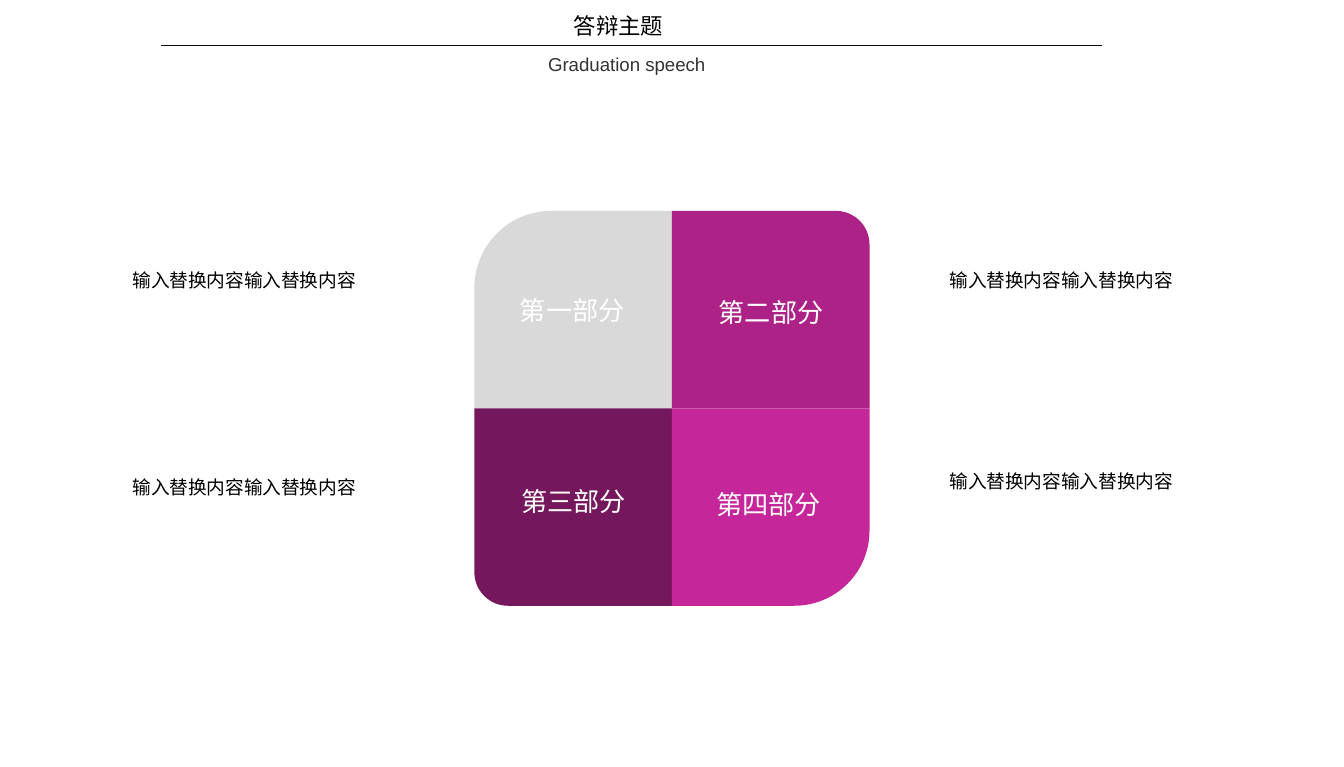
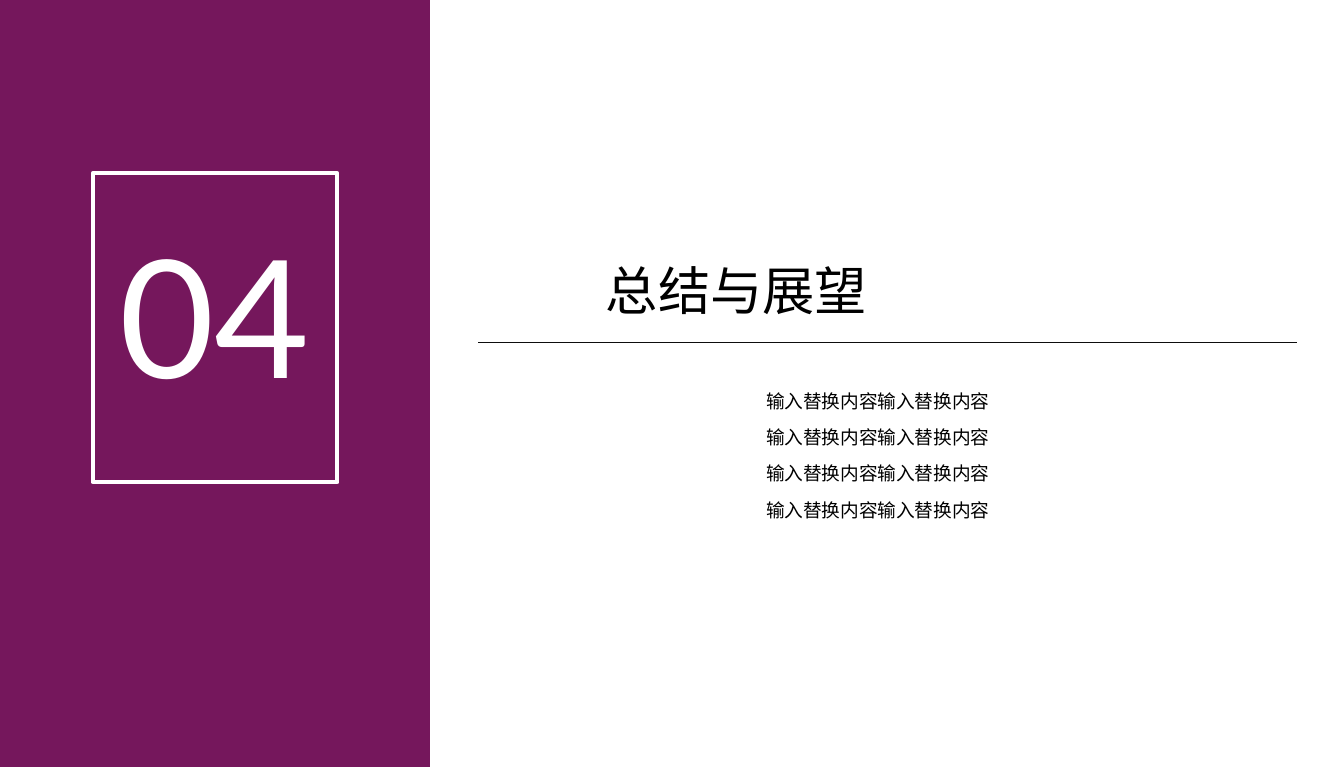
from dataclasses import dataclass

from lxml.etree import SubElement
from pptx import Presentation
from pptx.dml.color import RGBColor
from pptx.enum.shapes import MSO_CONNECTOR as Connector, MSO_SHAPE as Preset
from pptx.enum.text import MSO_ANCHOR as Anchor, PP_ALIGN as Align
from pptx.oxml.ns import qn
from pptx.slide import Slide
from pptx.util import Inches, Pt

WIDTH, HEIGHT = 10, 5.71
PLUM, WHITE, BLACK, RULE = "75175C", "FFFFFF", "000000", "0D0D0D"
CJK = "Noto Sans CJK SC"
FILLER = "输入替换内容输入替换内容"
TILE, TILES_LEFT, TILES_TOP = 1.47, 3.53, 1.57


@dataclass(frozen=True)
class Style:
    """Look of a line of text."""
    size: float
    color: str = BLACK
    font: str = CJK
    align: Align = Align.LEFT
    wrap: bool = False


@dataclass(frozen=True)
class Label:
    """A line of text and its place."""
    text: str
    left: float
    top: float
    width: float
    height: float
    style: Style


@dataclass(frozen=True)
class Tile:
    """One quarter of the rounded square."""
    column: int
    row: int
    color: str
    rounding: float


TITLE = Style(12)
SUBTITLE = Style(10, "333333", "Arial", wrap=True)
BODY = Style(10, align=Align.CENTER, wrap=True)
PART = Style(14, WHITE)
NUMBER = Style(88, WHITE, "Lato")
HEADING = Style(28)

TILES = [
    Tile(0, 0, "D9D9D9", 0.39),
    Tile(0, 1, PLUM, 0.17),
    Tile(1, 0, "AC2287", 0.17),
    Tile(1, 1, "C5279B", 0.38),
]
OVERVIEW_LABELS = [
    Label("答辩主题", 4.17, 0.04, 0.88, 0.3, TITLE),
    Label("Graduation speech", 3.98, 0.34, 1.67, 0.27, SUBTITLE),
    *(Label(FILLER, left, top, 2.15, 0.27, BODY)
      for left, top in [(0.74, 1.95), (0.74, 3.49), (6.82, 1.95), (6.82, 3.45)]),
    *(Label(f"第{numeral}部分", left, top, 0.99, 0.34, PART)
      for numeral, left, top in [("一", 3.77, 2.14), ("二", 5.25, 2.15),
                                 ("三", 3.78, 3.56), ("四", 5.23, 3.58)]),
]
SECTION_LABELS = [
    Label("04", 0.79, 1.54, 1.8, 1.58, NUMBER),
    Label("总结与展望", 4.41, 1.87, 2.17, 0.57, HEADING),
    *(Label(FILLER, 3.56, 2.85 + 0.27 * row, 5.94, 0.27, BODY) for row in range(4)),
]


def rgb(color: str) -> RGBColor:
    """Turn a hex string into a colour."""
    return RGBColor.from_string(color)


def apply(target: object, values: dict) -> None:
    """Set each named attribute on the target."""
    for name, value in values.items():
        setattr(target, name, value)


def add_label(slide: Slide, label: Label) -> None:
    """Draw a line of text."""
    style = label.style
    box = slide.shapes.add_textbox(
        Inches(label.left), Inches(label.top), Inches(label.width), Inches(label.height))
    frame = box.text_frame
    apply(frame, {"word_wrap": style.wrap, "vertical_anchor": Anchor.MIDDLE})
    paragraph = frame.paragraphs[0]
    paragraph.alignment = style.align
    run = paragraph.add_run()
    run.text = label.text
    apply(run.font, {"size": Pt(style.size), "name": style.font})
    run.font.color.rgb = rgb(style.color)
    SubElement(run.font._element, qn("a:ea")).set("typeface", style.font)


def add_rule(slide: Slide, left: float, right: float, y: float) -> None:
    """Draw a thin horizontal rule."""
    rule = slide.shapes.add_connector(
        Connector.STRAIGHT, Inches(left), Inches(y), Inches(right), Inches(y))
    rule.line.color.rgb = rgb(RULE)
    rule.line.width = Pt(0.5)
    SubElement(rule._element.spPr, qn("a:effectLst"))


def add_panel(slide: Slide, left: float, top: float, width: float, height: float,
              fill: str = "", outline: str = "", preset: Preset = Preset.RECTANGLE):
    """Draw a filled or outlined preset shape."""
    panel = slide.shapes.add_shape(
        preset, Inches(left), Inches(top), Inches(width), Inches(height))
    panel.shadow.inherit = False
    if fill:
        panel.fill.solid()
        panel.fill.fore_color.rgb = rgb(fill)
    else:
        panel.fill.background()
    if outline:
        panel.line.color.rgb = rgb(outline)
        panel.line.width = Pt(2.25)
    else:
        panel.line.fill.background()
    return panel


def add_tile(slide: Slide, tile: Tile) -> None:
    """Draw a quarter with its outer corner rounded."""
    quarter = add_panel(
        slide, TILES_LEFT + TILE * tile.column, TILES_TOP + TILE * tile.row,
        TILE, TILE, tile.color, preset=Preset.ROUND_1_RECTANGLE)
    quarter.adjustments[0] = tile.rounding
    xfrm = quarter._element.spPr.xfrm
    if tile.column == 0:
        xfrm.set("flipH", "1")
    if tile.row == 1:
        xfrm.set("flipV", "1")


def build_overview(slide: Slide) -> None:
    """Build the four-part overview."""
    add_rule(slide, 1.2, 8.2, 0.34)
    for tile in TILES:
        add_tile(slide, tile)
    for label in OVERVIEW_LABELS:
        add_label(slide, label)


def build_section(slide: Slide) -> None:
    """Build the section opener."""
    add_panel(slide, 0, 0, 3.2, HEIGHT, fill=PLUM)
    add_panel(slide, 0.69, 1.29, 1.82, 2.3, outline=WHITE)
    add_rule(slide, 3.56, 9.65, 2.55)
    for label in SECTION_LABELS:
        add_label(slide, label)


def main() -> None:
    """Build and save the deck."""
    deck = Presentation()
    apply(deck, {"slide_width": Inches(WIDTH), "slide_height": Inches(HEIGHT)})
    for build in (build_overview, build_section):
        build(deck.slides.add_slide(deck.slide_layouts[6]))
    deck.save("out.pptx")


if __name__ == "__main__":
    main()
